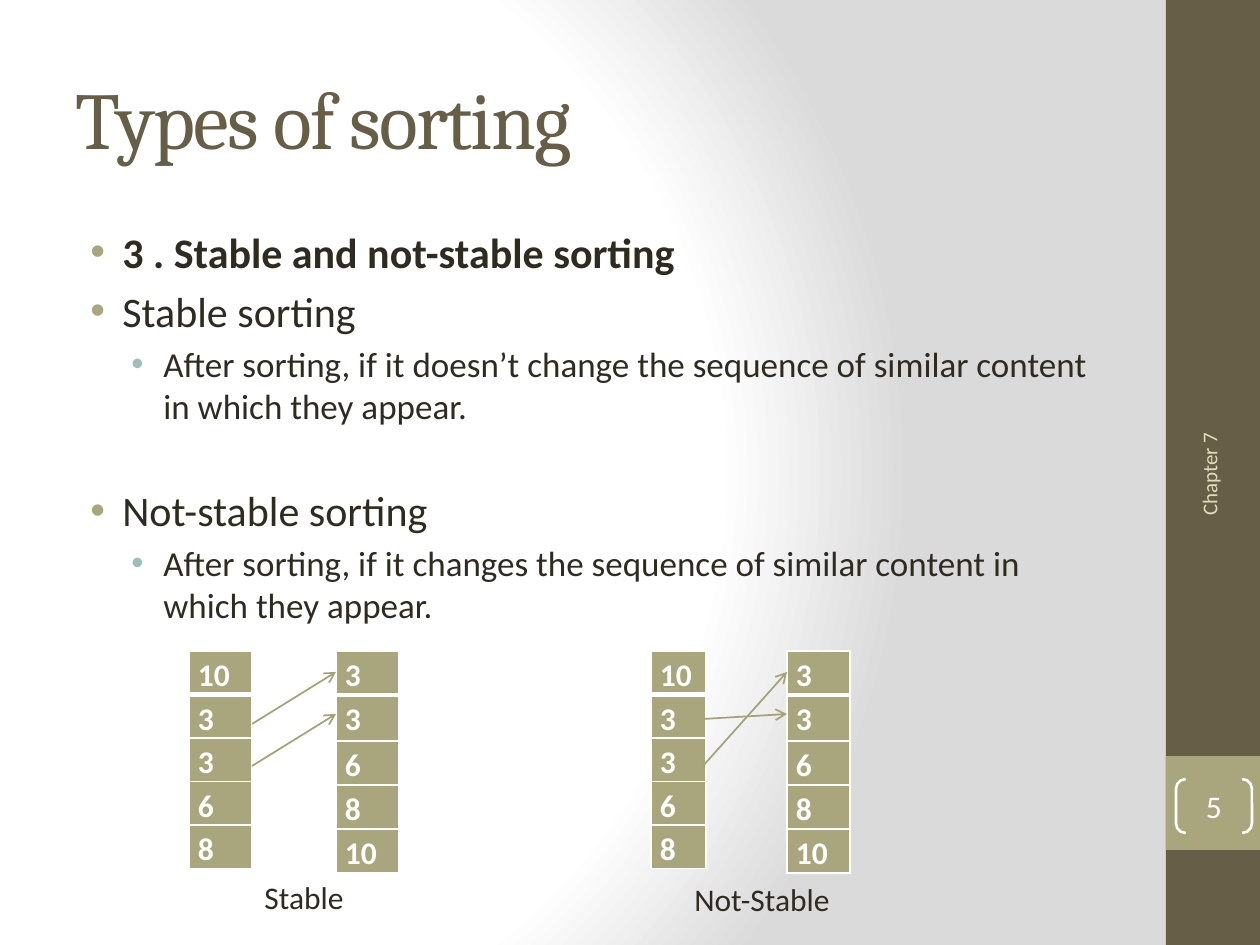
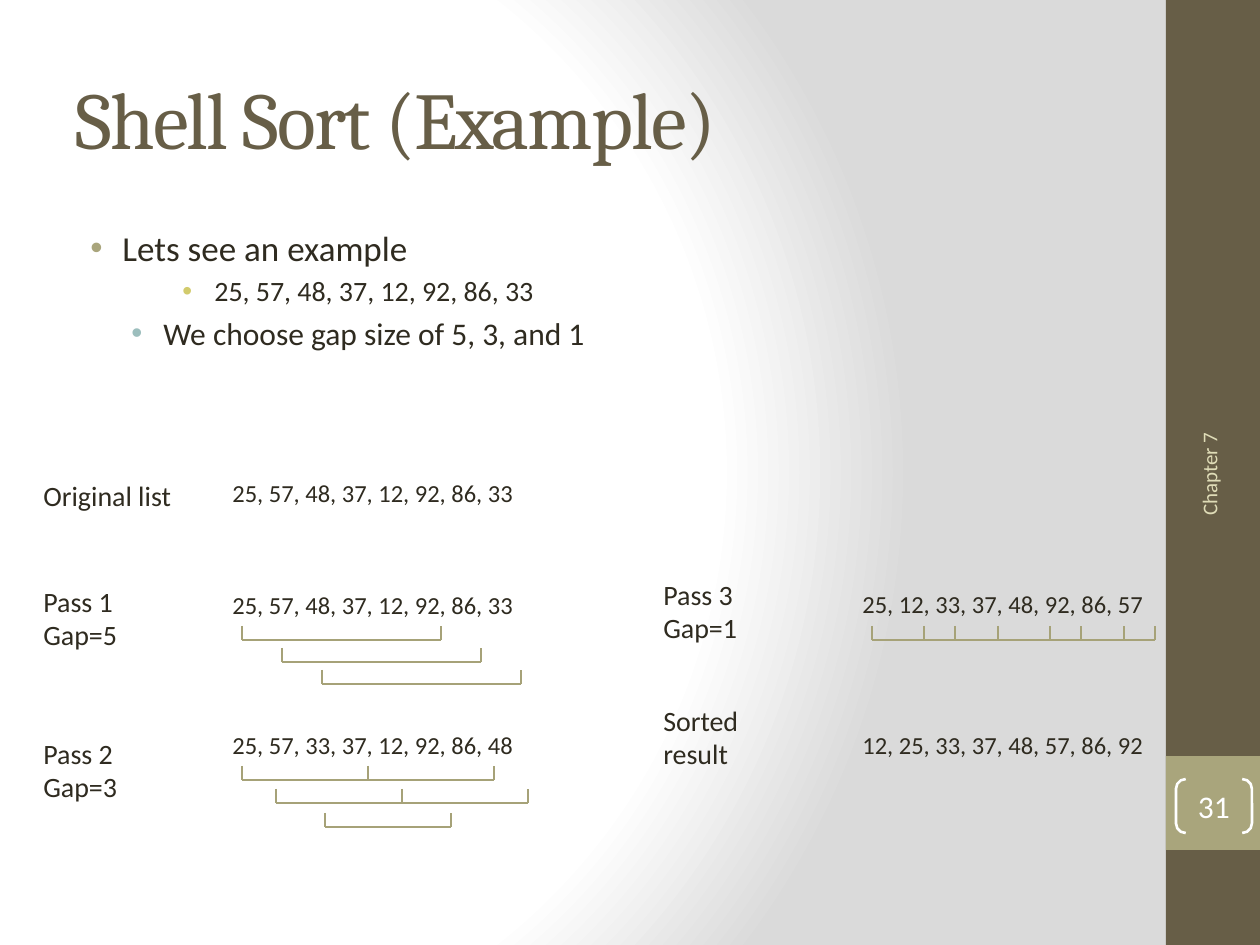
"""Build two slides on sorting: stable versus not-stable sorting, and a Shell sort example."""
from dataclasses import dataclass
from itertools import pairwise

from lxml import etree
from pptx import Presentation
from pptx.dml.color import RGBColor
from pptx.enum.shapes import MSO_CONNECTOR, MSO_SHAPE
from pptx.enum.text import MSO_ANCHOR, MSO_AUTO_SIZE, PP_ALIGN
from pptx.oxml import parse_xml
from pptx.oxml.ns import nsdecls, qn
from pptx.util import Emu, Pt

STRAIGHT = MSO_CONNECTOR.STRAIGHT
RECTANGLE, BRACKETS = MSO_SHAPE.RECTANGLE, MSO_SHAPE.DOUBLE_BRACKET
TOP, MIDDLE = MSO_ANCHOR.TOP, MSO_ANCHOR.MIDDLE
LEFT, CENTER, RIGHT = PP_ALIGN.LEFT, PP_ALIGN.CENTER, PP_ALIGN.RIGHT
GROW, FIXED = MSO_AUTO_SIZE.SHAPE_TO_FIT_TEXT, MSO_AUTO_SIZE.NONE
TITLE_ONLY = 5
SCALE = 914400 / 126


@dataclass(frozen=True)
class Theme:
    heading: str = "Cambria"
    body: str = "Calibri"
    brown: str = "675E47"
    olive: str = "A9A57C"
    line: str = "A6A278"
    ink: str = "2F2B20"
    cream: str = "DFDCB7"
    white: str = "FFFFFF"
    grey: str = "DADADA"
    bullets: tuple = ("A9A57C", "9CBEBD", "D2CB6C")
    title_size: int = 46
    cell_size: int = 18
    label_size: int = 16
    list_size: int = 14
    footer_size: int = 12


THEME = Theme()
FOOTER = "Chapter 7"
SLIDE_SIZE = (1260, 945)
TITLE_BOX = (63, 38, 1050, 158)
BODY_BOX = (63, 220, 1050, 662)
BULLET_INDENTS = (47, 88, 139)
BULLET_HANG = 32
LIST_INDENT = 126
TICK = 14

TYPES = {
    "title": "Types of sorting",
    "number": "5",
    "bullets": [
        {"text": "3 . Stable and not-stable sorting", "level": 0, "size": 24, "bold": True},
        {"text": "Stable sorting", "level": 0, "size": 24},
        {"text": "After sorting, if it doesn’t change the sequence of similar content "
                 "in which they appear.", "level": 1, "size": 20},
        {"text": "Not-stable sorting", "level": 0, "size": 24, "extra": 28.4},
        {"text": "After sorting, if it changes the sequence of similar content in "
                 "which they appear.", "level": 1, "size": 20},
    ],
}
UNSORTED = ("10", "3", "3", "6", "8")
SORTED = ("3", "3", "6", "8", "10")
UNSORTED_ROWS = (43,) * 5
SORTED_ROWS = (44, 46, 44, 44, 44)
TABLE_TOP = 651
COLUMNS = [
    (189, 63, UNSORTED, UNSORTED_ROWS),
    (336, 63, SORTED, SORTED_ROWS),
    (787, 63, SORTED, SORTED_ROWS),
    (651, 55, UNSORTED, UNSORTED_ROWS),
]
ARROWS = [
    ((252, 724), (336, 672)),
    ((252, 766), (336, 714)),
    ((703, 766), (787, 672)),
    ((703, 719), (787, 714)),
]
CAPTIONS = [("Stable", (252, 872, 106, 50)), ("Not-Stable", (682, 874, 163, 50))]

SHELL = {
    "title": "Shell Sort (Example)",
    "number": "31",
    "bullets": [
        {"text": "Lets see an example", "level": 0, "size": 20},
        {"text": "25, 57, 48, 37, 12, 92, 86, 33", "level": 2, "size": 16},
        {"text": "We choose gap size of 5, 3, and 1", "level": 1, "size": 18},
    ],
}
STEP_LABELS = [
    ("Original list", (31, 472, 158, 47)),
    ("Pass 1\nGap=5", (31, 578, 103, 81)),
    ("Pass 2\nGap=3", (31, 730, 103, 81)),
    ("Pass 3\nGap=1", (651, 571, 103, 81)),
    ("Sorted\nresult", (651, 697, 103, 81)),
]
STEP_LISTS = [
    ("25, 57, 48, 37, 12, 92, 86, 33", 94, 472),
    ("25, 57, 48, 37, 12, 92, 86, 33", 94, 584),
    ("25, 57, 33, 37, 12, 92, 86, 48", 94, 724),
    ("25, 12, 33, 37, 48, 92, 86, 57", 724, 583),
    ("12, 25, 33, 37, 48, 57, 86, 92", 724, 724),
]
PASS_ONE = [(626 + 22 * step, (242 + 40 * step, 441 + 40 * step)) for step in range(3)]
PASS_TWO = [(766, (242, 368, 494)), (789, (276, 402, 528)), (813, (325, 451))]
PASS_THREE = [(626, (left, min(left + 126, 1155))) for left in (872, 924, 955, 998, 1050)]


def px(length):
    return Emu(round(length * SCALE))


def place(box):
    return [px(length) for length in box]


def rgb(color):
    return RGBColor.from_string(color)


def write_para(para, text, size=THEME.label_size, color=THEME.ink, font=THEME.body,
               bold=False, align=LEFT, before=0, spacing=None, indent=0, hang=0,
               bullet=None, tracking=None):
    para.alignment = align
    props = para._p.get_or_add_pPr()
    if indent:
        props.set("marL", str(px(indent)))
        props.set("indent", str(-px(hang)))
    if bullet:
        color_tag = etree.SubElement(props, qn("a:buClr"))
        etree.SubElement(color_tag, qn("a:srgbClr"), val=bullet)
        etree.SubElement(props, qn("a:buFont"), typeface="Arial")
        etree.SubElement(props, qn("a:buChar"), char="•")
    if before:
        para.space_before = Pt(before)
    if spacing:
        para.line_spacing = spacing
    span = para.add_run()
    span.text = text
    span.font.size, span.font.name, span.font.bold = Pt(size), font, bold
    span.font.color.rgb = rgb(color)
    if tracking:
        span._r.get_or_add_rPr().set("spc", str(tracking))


def next_para(frame, index):
    return frame.add_paragraph() if index else frame.paragraphs[0]


def add_text(page, text, box, wrap=True, fit=FIXED, anchor=TOP, **style):
    shape = page.shapes.add_textbox(*place(box))
    frame = shape.text_frame
    frame.word_wrap, frame.auto_size, frame.vertical_anchor = wrap, fit, anchor
    for index, line in enumerate(text.split("\n")):
        write_para(next_para(frame, index), line, **style)
    return shape


def add_bullets(page, bullets):
    frame = page.shapes.add_textbox(*place(BODY_BOX)).text_frame
    frame.word_wrap = True
    for index, item in enumerate(bullets):
        level, size = item["level"], item["size"]
        before = round(size * 0.2 + item.get("extra", 0), 1) if index else 0
        write_para(next_para(frame, index), item["text"], size=size,
                   bold=item.get("bold", False), before=before,
                   indent=BULLET_INDENTS[level], hang=BULLET_HANG,
                   bullet=THEME.bullets[level])


def add_band(page, box, color):
    band = page.shapes.add_shape(RECTANGLE, *place(box))
    band.shadow.inherit = False
    band.fill.solid()
    band.fill.fore_color.rgb = rgb(color)
    band.line.fill.background()


def add_page_number(page, number):
    badge = page.shapes.add_shape(BRACKETS, *place((1176, 779, 76, 54)))
    badge.adjustments[0] = 0.18
    badge.shadow.inherit = False
    badge.fill.background()
    badge.line.color.rgb, badge.line.width = rgb(THEME.white), Pt(1.5)
    frame = badge.text_frame
    frame.margin_left = frame.margin_right = frame.margin_top = frame.margin_bottom = 0
    frame.vertical_anchor = MIDDLE
    write_para(frame.paragraphs[0], number, size=18, color=THEME.white, align=CENTER)


def add_line(page, start, end, arrow=False):
    line = page.shapes.add_connector(STRAIGHT, *place(start), *place(end))
    line.line.color.rgb, line.line.width = rgb(THEME.line), Pt(1)
    if arrow:
        etree.SubElement(line.line._get_or_add_ln(), qn("a:tailEnd"), type="arrow")
    etree.SubElement(line._element.spPr, qn("a:effectLst"))


def add_bracket(page, left, right, top):
    bottom = top + TICK
    corners = ((left, top), (left, bottom), (right, bottom), (right, top))
    for start, end in pairwise(corners):
        add_line(page, start, end)


def set_borders(cell, **widths):
    props = cell._tc.get_or_add_tcPr()
    for index, side in enumerate(("lnL", "lnR", "lnT", "lnB")):
        border = parse_xml(
            f'<a:{side} {nsdecls("a")} w="{Pt(widths.get(side, 1))}"><a:solidFill>'
            f'<a:srgbClr val="{THEME.white}"/></a:solidFill></a:{side}>')
        props.insert(index, border)


def add_column(page, left, width, values, heights):
    box = (left, TABLE_TOP, width, sum(heights))
    table = page.shapes.add_table(len(values), 1, *place(box)).table
    table.first_row = table.horz_banding = False
    for index, (value, height) in enumerate(zip(values, heights)):
        table.rows[index].height = px(height)
        cell = table.cell(index, 0)
        cell.margin_left = cell.margin_right = px(9)
        cell.margin_top = cell.margin_bottom = 0
        cell.fill.solid()
        cell.fill.fore_color.rgb = rgb(THEME.olive)
        set_borders(cell, lnT=3 if index == 1 else 1, lnB=3 if index == 0 else 1)
        write_para(cell.text_frame.paragraphs[0], value, size=THEME.cell_size,
                   color=THEME.white, bold=True, spacing=1.15)


def set_background(master):
    master.background.fill.solid()
    solid = master.element.find(f'.//{qn("p:bgPr")}/{qn("a:solidFill")}')
    stops = "".join(
        f'<a:gs pos="{percent * 1000}"><a:srgbClr val="{color}"/></a:gs>'
        for percent, color in ((0, THEME.white), (75, THEME.white), (100, THEME.grey)))
    gradient = parse_xml(
        f'<a:gradFill {nsdecls("a")} rotWithShape="1"><a:gsLst>{stops}</a:gsLst>'
        '<a:path path="circle"><a:fillToRect l="20000" t="50000" r="100000" b="50000"/>'
        '</a:path></a:gradFill>')
    solid.getparent().replace(solid, gradient)


def add_page(deck, content):
    page = deck.slides.add_slide(deck.slide_layouts[TITLE_ONLY])
    title = page.shapes.title
    title.left, title.top, title.width, title.height = place(TITLE_BOX)
    frame = title.text_frame
    frame.word_wrap, frame.auto_size, frame.vertical_anchor = True, FIXED, MIDDLE
    write_para(frame.paragraphs[0], content["title"], size=THEME.title_size,
               color=THEME.brown, font=THEME.heading, tracking=-100)
    add_band(page, (1166, 0, 94, 945), THEME.brown)
    add_band(page, (1166, 756, 94, 94), THEME.olive)
    add_bullets(page, content["bullets"])
    footer = add_text(page, FOOTER, (1046, 558, 326, 50), anchor=MIDDLE,
                      size=THEME.footer_size, color=THEME.cream, align=RIGHT)
    footer.rotation = 270
    add_page_number(page, content["number"])
    return page


def build_types(deck):
    page = add_page(deck, TYPES)
    for column in COLUMNS:
        add_column(page, *column)
    for start, end in ARROWS:
        add_line(page, start, end, arrow=True)
    for text, box in CAPTIONS:
        add_text(page, text, box, wrap=False, fit=GROW, size=18)


def build_shell(deck):
    page = add_page(deck, SHELL)
    for text, box in STEP_LABELS:
        add_text(page, text, box, wrap=False, fit=GROW)
    for text, left, top in STEP_LISTS:
        add_text(page, text, (left, top, 479, 43), fit=GROW,
                 size=THEME.list_size, indent=LIST_INDENT)
    for top, ticks in PASS_ONE + PASS_TWO + PASS_THREE:
        for left, right in pairwise(ticks):
            add_bracket(page, left, right, top)


def main():
    deck = Presentation()
    deck.slide_width, deck.slide_height = place(SLIDE_SIZE)
    set_background(deck.slide_master)
    build_types(deck)
    build_shell(deck)
    deck.save("out.pptx")


if __name__ == "__main__":
    main()
